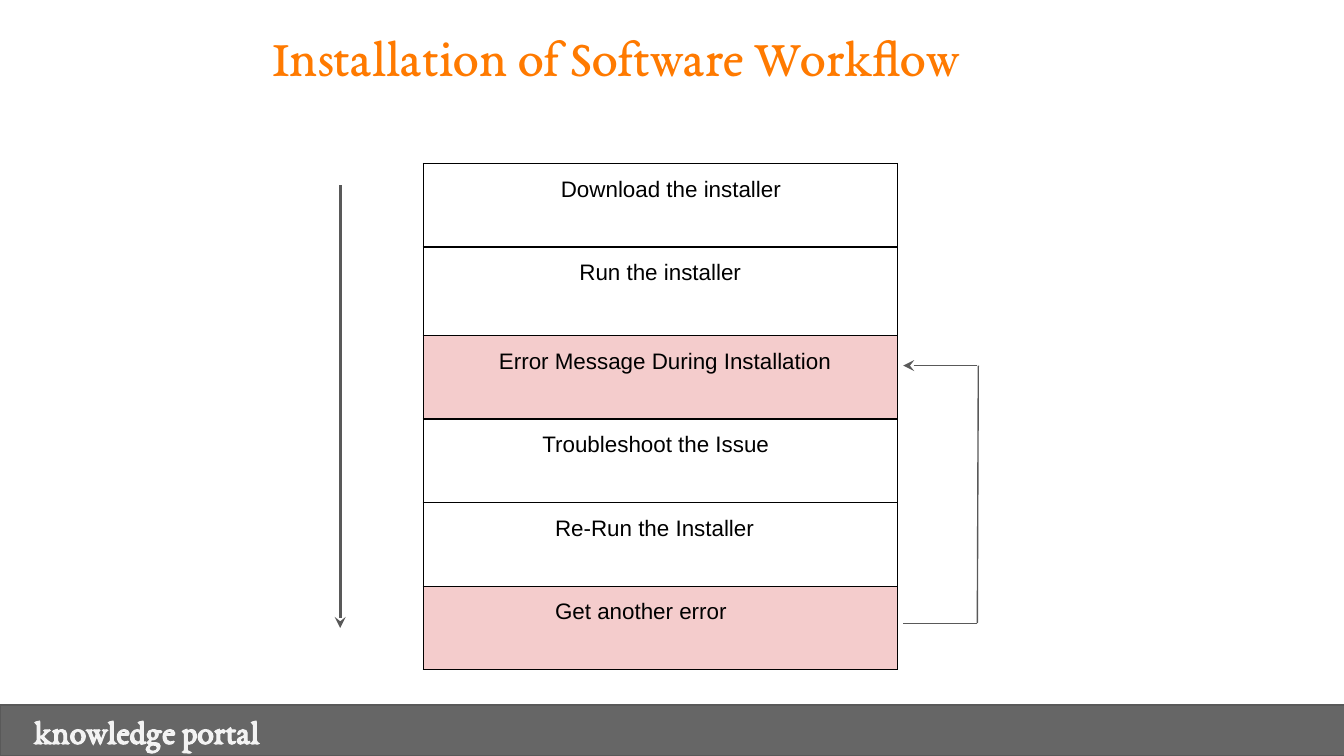
from lxml import etree
from pptx import Presentation
from pptx import util as u
from pptx.dml.color import RGBColor
from pptx.enum import shapes, text
from pptx.oxml import parse_xml
from pptx.oxml.ns import nsdecls, qn

GREY = "595959"
PINK = "F4CCCC"
PAD = 0.25


def tint(fill, hue):
    fill.solid()
    fill.fore_color.rgb = RGBColor.from_string(hue)


def write(box, words, size=12, face="Arial", hue="000000", bold=False,
          align=text.PP_ALIGN.LEFT):
    """Fill a shape's text frame or a table cell's with one paragraph."""
    box.text_frame.word_wrap = True
    par = box.text_frame.paragraphs[0]
    par.alignment = align
    run = par.add_run()
    run.text = words
    run.font.size = u.Pt(size)
    run.font.name = face
    run.font.bold = bold
    tint(run.font.fill, hue)


deck = Presentation()
deck.slide_width, deck.slide_height = u.Cm(25.4), u.Cm(14.29)
slide = deck.slides.add_slide(deck.slide_layouts[6])

# Title
title = slide.shapes.add_textbox(u.Cm(-0.23), u.Cm(0.2), u.Cm(23.93), u.Cm(1.83))
frame = title.text_frame
frame.margin_left = frame.margin_top = frame.margin_bottom = u.Cm(PAD)
frame.margin_right = u.Cm(0.45)
write(title, "Installation of Software Workflow", size=28, face="EB Garamond",
      hue="FF7A00", align=text.PP_ALIGN.CENTER)

# Footer
foot = slide.shapes.add_shape(shapes.MSO_SHAPE.RECTANGLE, 0, u.Cm(13.33),
                              u.Cm(25.45), u.Cm(0.96))
foot.shadow.inherit = False
tint(foot.fill, "666666")
tint(foot.line.fill, GREY)
foot.line.width = u.Pt(0.75)
foot.text_frame.margin_left = u.Cm(0.64)
foot.text_frame.vertical_anchor = text.MSO_ANCHOR.MIDDLE
write(foot, "knowledge portal", size=18, face="EB Garamond", hue="F3F3F3", bold=True)

# Steps: wording, indent and row height in cm, fill
steps = [
    ("Download the installer", 2.35, 1.58, None),
    ("Run the installer", 2.7, 1.67, None),
    ("Error Message During Installation", 1.18, 1.58, PINK),
    ("Troubleshoot the Issue", 2, 1.58, None),
    ("Re-Run the Installer", 2.24, 1.58, None),
    ("Get another error", 2.24, 1.58, PINK),
]
wide, high = u.Cm(8.96), u.Cm(sum(step[2] for step in steps))
table = slide.shapes.add_table(len(steps), 1, u.Cm(8), u.Cm(3.09), wide, high).table
table.first_row = table.horz_banding = False
table.columns[0].width = wide
for row, (words, indent, tall, hue) in zip(table.rows, steps):
    row.height = u.Cm(tall)
    cell = row.cells[0]
    cell.margin_left = u.Cm(PAD + indent)
    cell.margin_right = cell.margin_top = cell.margin_bottom = u.Cm(PAD)
    write(cell, words)
    for side in "LRTB":
        cell._tc.get_or_add_tcPr().append(parse_xml(
            f'<a:ln{side} {nsdecls("a")} w="{u.Pt(0.75)}"><a:solidFill>'
            f'<a:srgbClr val="000000"/></a:solidFill></a:ln{side}>'))
    if hue:
        tint(cell.fill, hue)
    else:
        cell.fill.background()

# Flow arrow, then the loop back to the error: ends in cm, width, arrowhead
lines = [
    (6.43, 3.5, 6.43, 11.87, 1.5, "a:tailEnd"),
    (17.07, 11.78, 18.47, 11.78, 0.75, None),
    (18.49, 6.91, 18.47, 11.78, 0.75, None),
    (17.07, 6.91, 18.47, 6.91, 0.75, "a:headEnd"),
]
for *ends, thick, tip in lines:
    line = slide.shapes.add_connector(shapes.MSO_CONNECTOR.STRAIGHT, *map(u.Cm, ends))
    tint(line.line.fill, GREY)
    line.line.width = u.Pt(thick)
    if tip:
        etree.SubElement(line.line._get_or_add_ln(), qn(tip), type="stealth")
    etree.SubElement(line._element.spPr, qn("a:effectLst"))

deck.save("out.pptx")
